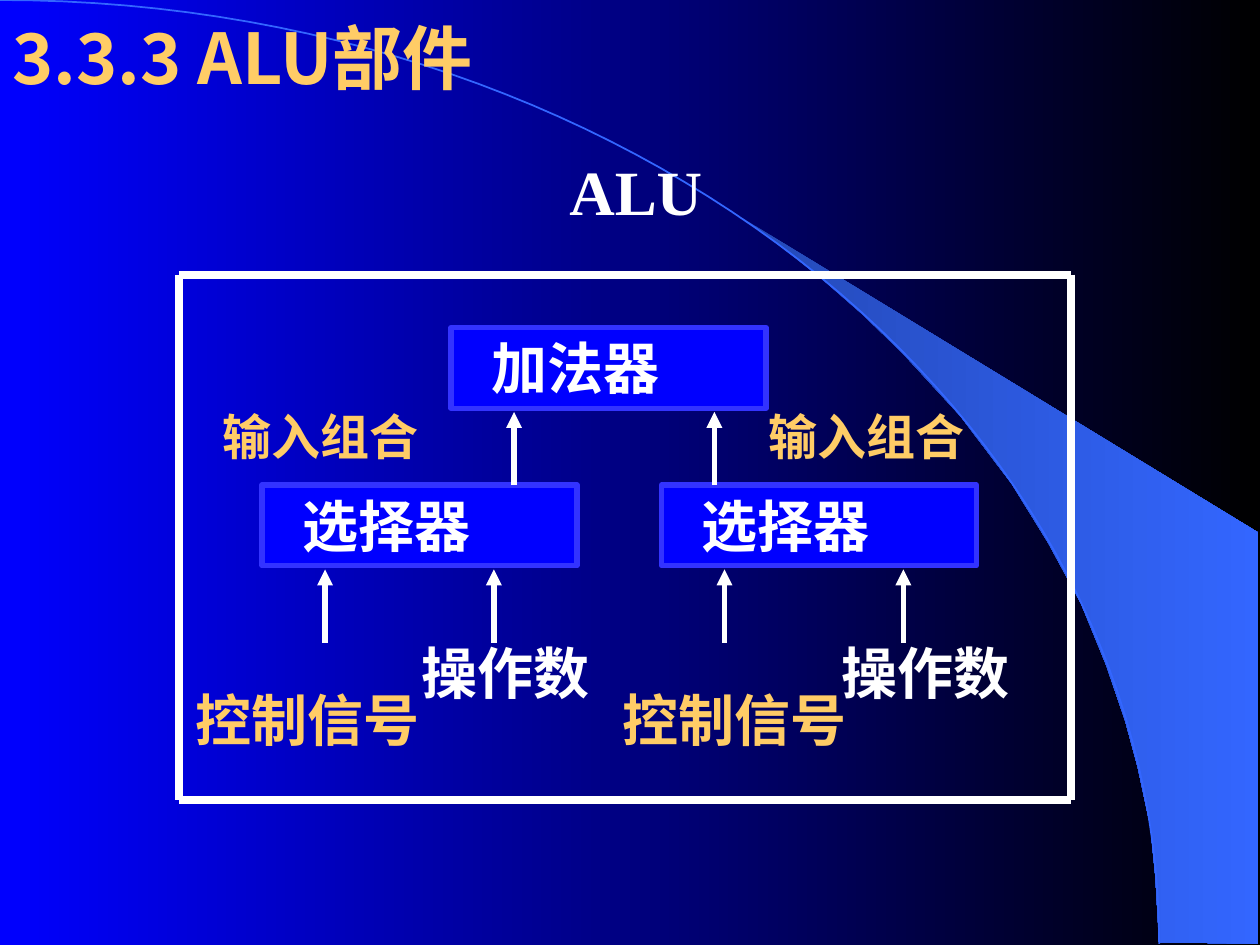
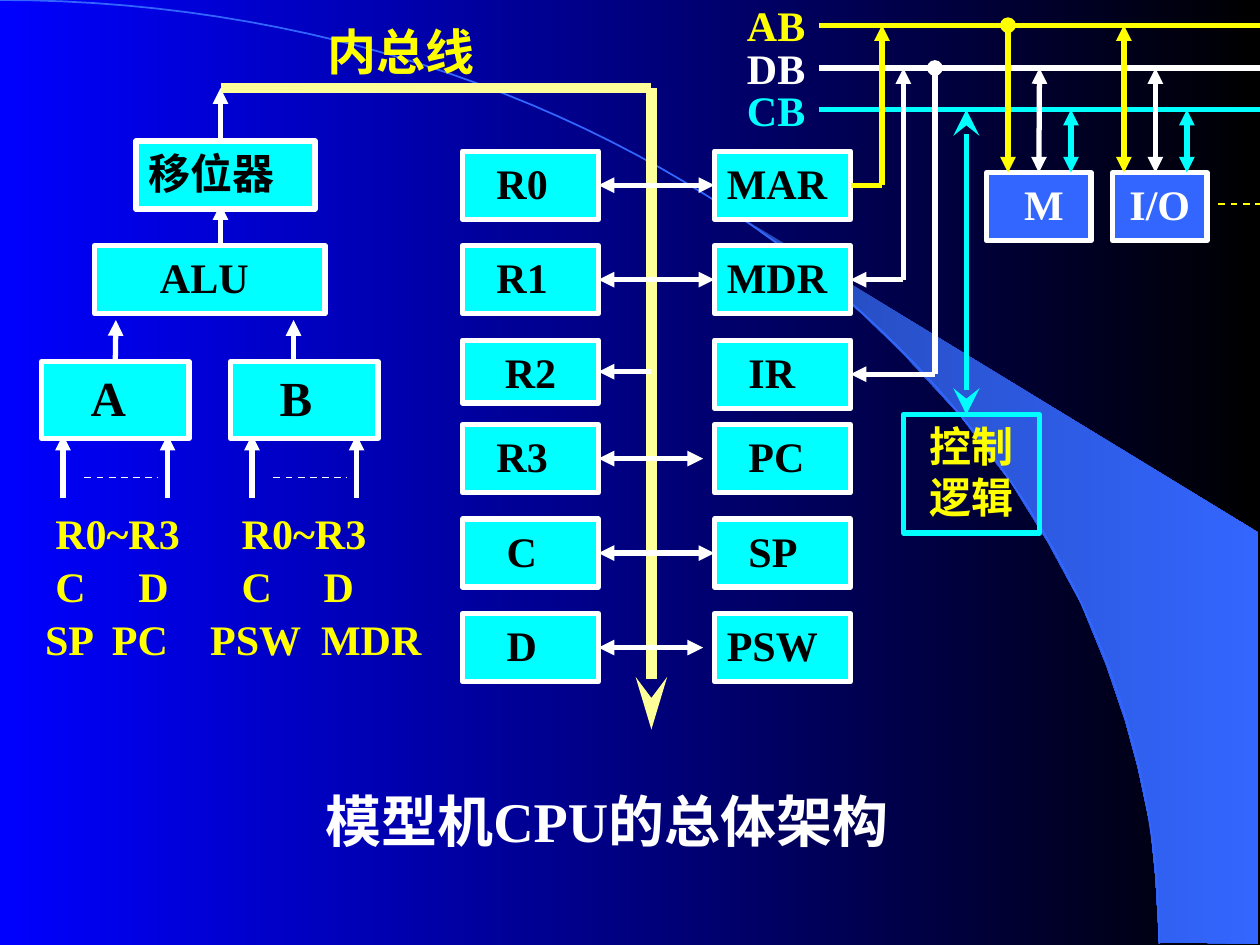
from dataclasses import dataclass

from lxml import etree
from pptx import Presentation
from pptx.dml.color import RGBColor
from pptx.enum.dml import MSO_LINE
from pptx.enum.shapes import MSO_CONNECTOR, MSO_SHAPE
from pptx.enum.text import MSO_ANCHOR, MSO_AUTO_SIZE, PP_ALIGN
from pptx.oxml.ns import qn
from pptx.util import Inches, Pt

LEFT, CENTER = PP_ALIGN.LEFT, PP_ALIGN.CENTER
TOP, MIDDLE = MSO_ANCHOR.TOP, MSO_ANCHOR.MIDDLE
RECTANGLE, STRAIGHT, DASH = MSO_SHAPE.RECTANGLE, MSO_CONNECTOR.STRAIGHT, MSO_LINE.DASH
NO_AUTOFIT = MSO_AUTO_SIZE.NONE
TOP_SIDE, LEFT_SIDE, RIGHT_SIDE = 0, 1, 3

LATIN, CHINESE = "Times New Roman", "Noto Sans CJK SC"
BLUE, BLACK, WHITE = "0000FF", "000000", "FFFFFF"
GOLD, YELLOW, PALE_YELLOW, CYAN = "FFCC66", "FFFF00", "FFFF99", "00FFFF"
SKY, DEEP_SKY, EDGE = "3366FF", "2449B6", "3333FF"
ROW_HEIGHT = 0.54

SWOOSH = [(9.2, 7.48), (9.99, 7.49), (9.99, 4.23), (5.89, 1.73), (6.24, 1.99), (6.53, 2.22),
          (6.85, 2.5), (7.16, 2.8), (7.62, 3.3), (8.03, 3.84), (8.32, 4.31), (8.58, 4.79),
          (8.78, 5.28), (8.93, 5.72), (9.03, 6.09), (9.13, 6.56), (9.17, 6.96)]


@dataclass
class Box:
    """A rectangle, or a plain label when it has neither fill nor line."""
    text: str
    left: float
    top: float
    width: float
    height: float = ROW_HEIGHT
    size: int = 24
    color: str = BLACK
    fill: str | None = CYAN
    line: str | None = WHITE
    indent: float = 0
    align: PP_ALIGN = LEFT
    anchor: MSO_ANCHOR = TOP


@dataclass
class Link:
    """A straight line with optional ends, written as "type width length"."""
    x1: float
    y1: float
    x2: float
    y2: float
    color: str = WHITE
    weight: float = 3
    head: str = ""
    tail: str = ""
    dashed: bool = False


ARROW = "triangle med med"
DOT = "oval med med"
BIG_BARB = "stealth lg lg"


def rgb(color: str) -> RGBColor:
    return RGBColor.from_string(color)


def set_gradient(fill, first: str, last: str) -> None:
    fill.gradient()
    fill.gradient_angle = 0
    for stop, color in zip(fill.gradient_stops, (first, last)):
        stop.color.rgb = rgb(color)


def write_text(shape, text: str, *, size: int, color: str, font: str = LATIN,
               indent: float = 0, align=LEFT, anchor=TOP, line_spacing: float = 1,
               space_before: float = 0, tab_stops=()) -> None:
    """Write one paragraph for each line of text, with tab stops given per paragraph."""
    frame = shape.text_frame
    frame.word_wrap, frame.auto_size, frame.vertical_anchor = True, NO_AUTOFIT, anchor
    frame.margin_left, frame.margin_right = Inches(0.1 + indent), Inches(0.1)
    frame.margin_top = frame.margin_bottom = Inches(0.05)
    for index, content in enumerate(text.split("\n")):
        paragraph = frame.add_paragraph() if index else frame.paragraphs[0]
        paragraph.alignment = align
        paragraph.line_spacing = line_spacing
        paragraph.space_before = Pt(space_before if index else 0)
        if tab_stops:
            tab_list = etree.SubElement(paragraph._p.get_or_add_pPr(), qn("a:tabLst"))
            for position in tab_stops[index]:
                etree.SubElement(tab_list, qn("a:tab"), pos=str(Inches(position)), algn="l")
        run = paragraph.add_run()
        run.text = content
        run.font.size, run.font.bold, run.font.name = Pt(size), True, font
        run.font.color.rgb = rgb(color)
        etree.SubElement(run._r.get_or_add_rPr(), qn("a:ea"), typeface=CHINESE)


def draw_box(slide, box: Box):
    place = [Inches(value) for value in (box.left, box.top, box.width, box.height)]
    if box.fill or box.line:
        shape = slide.shapes.add_shape(RECTANGLE, *place)
        shape.shadow.inherit = False
        if box.fill:
            shape.fill.solid()
            shape.fill.fore_color.rgb = rgb(box.fill)
        else:
            shape.fill.background()
        shape.line.color.rgb = rgb(box.line)
        shape.line.width = Pt(3)
    else:
        shape = slide.shapes.add_textbox(*place)
    write_text(shape, box.text, size=box.size, color=box.color, indent=box.indent,
               align=box.align, anchor=box.anchor)
    return shape


def label(text: str, left: float, top: float, width: float, height: float,
          size: int, color: str) -> Box:
    return Box(text, left, top, width, height, size, color, fill=None, line=None)


def draw_link(slide, link: Link, begin=None, end=None) -> None:
    """Draw a line; begin and end are (shape, side) pairs to join."""
    connector = slide.shapes.add_connector(
        STRAIGHT, *[Inches(value) for value in (link.x1, link.y1, link.x2, link.y2)])
    if begin:
        connector.begin_connect(*begin)
    if end:
        connector.end_connect(*end)
    connector.line.color.rgb = rgb(link.color)
    connector.line.width = Pt(link.weight)
    if link.dashed:
        connector.line.dash_style = DASH
    properties = connector._element.spPr
    outline = properties.find(qn("a:ln"))
    for tag, mark in (("a:headEnd", link.head), ("a:tailEnd", link.tail)):
        if mark:
            kind, width, length = mark.split()
            etree.SubElement(outline, qn(tag), type=kind, w=width, len=length)
    etree.SubElement(properties, qn("a:effectLst"))


def draw_outline(slide, points, close: bool):
    corners = [(Inches(x), Inches(y)) for x, y in points]
    builder = slide.shapes.build_freeform(*corners[0])
    builder.add_line_segments(corners[1:], close=close)
    shape = builder.convert_to_shape()
    shape.shadow.inherit = False
    return shape


def arc_point(t: float) -> tuple[float, float]:
    """Point on the curve from the top left corner down to the bottom edge."""
    u = 1 - t
    return (3 * u * u * t * 5.08 + (3 * u * t * t + t ** 3) * 9.2,
            3 * u * t * t * 3.35 + t ** 3 * 7.49)


def new_slide(presentation, title: str, place, **text_format):
    """Add a slide with the shared swoosh and arc, and its title above them."""
    slide = presentation.slides.add_slide(presentation.slide_layouts[5])
    swoosh = draw_outline(slide, SWOOSH, True)
    set_gradient(swoosh.fill, DEEP_SKY, SKY)
    swoosh.line.fill.background()
    arc = draw_outline(slide, [arc_point(step / 60) for step in range(61)], False)
    arc.fill.background()
    arc.line.color.rgb = rgb(SKY)
    arc.line.width = Pt(1)

    heading = slide.shapes.title
    heading.left, heading.top, heading.width, heading.height = map(Inches, place)
    write_text(heading, title, **text_format)
    heading._element.getparent().append(heading._element)
    return slide


def build_alu_slide(presentation) -> None:
    slide = new_slide(presentation, "3.3.3 ALU部件", (0, 0.25, 5.92, 0.57),
                      size=40, color=GOLD, font=CHINESE, line_spacing=0.7)
    # Adder and the two selectors
    for name, left, top in (("加法器", 3.58, 2.6), ("选择器", 2.08, 3.85), ("选择器", 5.25, 3.85)):
        draw_box(slide, Box(name, left, top, 2.5, 0.64, 32, WHITE, BLUE, EDGE, indent=0.22))
    # Signals flowing up
    for bottom, columns in ((3.85, (4.08, 5.67)), (5.1, (2.58, 3.92, 5.75, 7.17))):
        for x in columns:
            draw_link(slide, Link(x, bottom, x, bottom - 0.58, tail=ARROW))
    # Labels
    for item in (label("控制信号", 1.45, 5.39, 2.29, 0.64, 32, GOLD),
                 label("控制信号", 4.84, 5.39, 2.2, 0.64, 32, GOLD),
                 label("操作数", 3.25, 5.02, 1.67, 0.63, 32, WHITE),
                 label("操作数", 6.58, 5.02, 1.67, 0.63, 32, WHITE),
                 label("输入组合", 1.67, 3.18, 2.25, 0.57, 28, GOLD),
                 label("输入组合", 6, 3.18, 2.25, 0.57, 28, GOLD),
                 label("ALU", 4.42, 1.16, 1.67, 0.7, 36, WHITE)):
        draw_box(slide, item)
    # Frame around the unit
    left, top, right, bottom = 1.42, 2.18, 8.5, 6.35
    for y in (top, bottom):
        draw_link(slide, Link(left, y, right, y, weight=4.5))
    for x in (right, left):
        draw_link(slide, Link(x, top, x, bottom, weight=4.5))


def draw_arithmetic_side(slide) -> None:
    # Arrows, partly covered by the boxes drawn after them
    for x in (0.5, 1.33, 2, 2.83):
        draw_link(slide, Link(x, 3.95, x, 3.45, tail=ARROW))
    draw_link(slide, Link(1.75, 1.95, 1.75, 1.62, tail=ARROW))
    draw_link(slide, Link(1.75, 1.12, 1.75, 0.7, tail=ARROW))
    draw_link(slide, Link(2.33, 2.87, 2.33, 2.54, tail=ARROW))
    for x in (0.67, 2.17):
        draw_link(slide, Link(x, 3.79, x + 0.58, 3.79, weight=1, dashed=True))
    # Shifter, ALU and the input latches
    draw_box(slide, Box("移位器", 1.08, 1.12, 1.42))
    draw_box(slide, Box("ALU", 0.75, 1.95, 1.83, indent=0.42))
    latch_a, _ = [draw_box(slide, Box(name, left, 2.87, 1.17, 0.61, 28, indent=0.29))
                  for name, left in (("A", 0.33), ("B", 1.83))]
    draw_link(slide, Link(0.92, 2.87, 0.92, 2.54, tail=ARROW), begin=(latch_a, TOP_SIDE))
    # Operand sources
    sources = slide.shapes.add_textbox(Inches(0), Inches(4.12), Inches(3.58), Inches(1.22))
    write_text(sources, "\tR0~R3\tR0~R3\n\tC\tD\tC\tD\n\tSP\tPC\tPSW\tMDR",
               size=24, color=YELLOW, line_spacing=0.6, space_before=13,
               tab_stops=((0.34, 1.82), (0.34, 1, 1.82, 2.47), (0.26, 0.79, 1.57, 2.45)))


def draw_registers(slide) -> dict:
    """Draw both register columns and the internal bus; return the shapes by name."""
    tops = (1.2, 1.95, 2.7, 3.37, 4.12, 4.87)
    columns = ((3.67, {"R0": 0.17, "R1": 0.17, "R2": 0, "R3": 0.17, "C": 0.25, "D": 0.25}),
               (5.67, {"MAR": 0, "MDR": 0, "IR": 0.17, "PC": 0.17, "SP": 0.17, "PSW": 0}))
    registers = {}
    for left, indents in columns:
        for (name, indent), top in zip(indents.items(), tops):
            box = Box(name, left, top, 1.08, indent=indent)
            if name == "R2":
                box.height, box.align, box.anchor = 0.5, CENTER, MIDDLE
            registers[name] = draw_box(slide, box)
    # Internal bus
    draw_link(slide, Link(1.75, 0.7, 5.17, 0.7, PALE_YELLOW, 6))
    draw_link(slide, Link(5.17, 0.7, 5.17, 5.79, PALE_YELLOW, 6, tail="stealth med lg"))
    draw_box(slide, label("内总线", 2.5, 0.12, 1.75, 0.57, 28, YELLOW))
    # Register exchanges; some stop short of the right column
    for name, top, partner in zip(columns[0][1], tops, ("MAR", "MDR", "", "", "SP", "")):
        x, y = (5.17 if name == "R2" else 5.58), top + registers[name].height / Inches(2)
        draw_link(slide, Link(x, y, 4.75, y, head="" if name == "R2" else ARROW, tail=ARROW),
                  begin=(registers[partner], LEFT_SIDE) if partner else None,
                  end=(registers[name], RIGHT_SIDE))
    return registers


def draw_system_buses(slide, registers: dict) -> None:
    # Address, data and control buses
    for name, y, top, color in (("AB", 0.2, -0.05, YELLOW), ("DB", 0.54, 0.29, WHITE),
                                ("CB", 0.87, 0.62, CYAN)):
        draw_link(slide, Link(6.5, y, 10, y, color))
        draw_box(slide, label(name, 5.83, top, 0.92, 0.5, 24, color))
    # Memory and input/output
    memory, _ = [draw_box(slide, Box(name, left, 1.37, width, color=WHITE, fill=SKY,
                                     indent=indent, align=CENTER))
                 for name, left, width, indent in (("M", 7.83, 0.83, 0.08), ("I/O", 8.83, 0.75, 0))]
    for x, y, color, head in ((8, 0.2, YELLOW, DOT), (8.92, 0.2, YELLOW, ARROW),
                              (9.17, 0.54, WHITE, ARROW), (8.5, 0.87, CYAN, ARROW),
                              (9.42, 0.87, CYAN, ARROW)):
        draw_link(slide, Link(x, y, x, 1.37, color, head=head, tail=ARROW))
    draw_link(slide, Link(8.25, 0.54, 8.25, 1.37, head=ARROW, tail=ARROW), end=(memory, TOP_SIDE))
    draw_link(slide, Link(9.67, 1.62, 10, 1.62, YELLOW, 1, dashed=True))
    # Register connections to the buses
    for name, x, y, bus, color, bus_end, register_end in (
            ("MAR", 7, 1.47, 0.2, YELLOW, ARROW, ""),
            ("MDR", 7.17, 2.22, 0.54, WHITE, ARROW, ARROW),
            ("IR", 7.42, 2.97, 0.54, WHITE, DOT, ARROW)):
        draw_link(slide, Link(x, y, 6.75, y, color, tail=register_end),
                  end=(registers[name], RIGHT_SIDE))
        draw_link(slide, Link(x, y, x, bus, color, tail=bus_end))
    # Control logic
    draw_link(slide, Link(7.67, 0.87, 7.67, 3.29, CYAN, head=BIG_BARB, tail=BIG_BARB))
    draw_box(slide, Box("控制逻辑", 7.17, 3.29, 1.08, 0.94, color=YELLOW, fill=None,
                        line=CYAN, align=CENTER))


def build_cpu_slide(presentation) -> None:
    slide = new_slide(presentation, "模型机CPU的总体架构", (2.48, 6.19, 4.68, 0.63),
                      size=32, color=WHITE)
    draw_arithmetic_side(slide)
    registers = draw_registers(slide)
    draw_system_buses(slide, registers)


def main() -> None:
    presentation = Presentation()
    presentation.slide_width, presentation.slide_height = Inches(10), Inches(7.5)
    set_gradient(presentation.slide_master.background.fill, BLUE, BLACK)
    build_alu_slide(presentation)
    build_cpu_slide(presentation)
    presentation.save("out.pptx")


if __name__ == "__main__":
    main()
